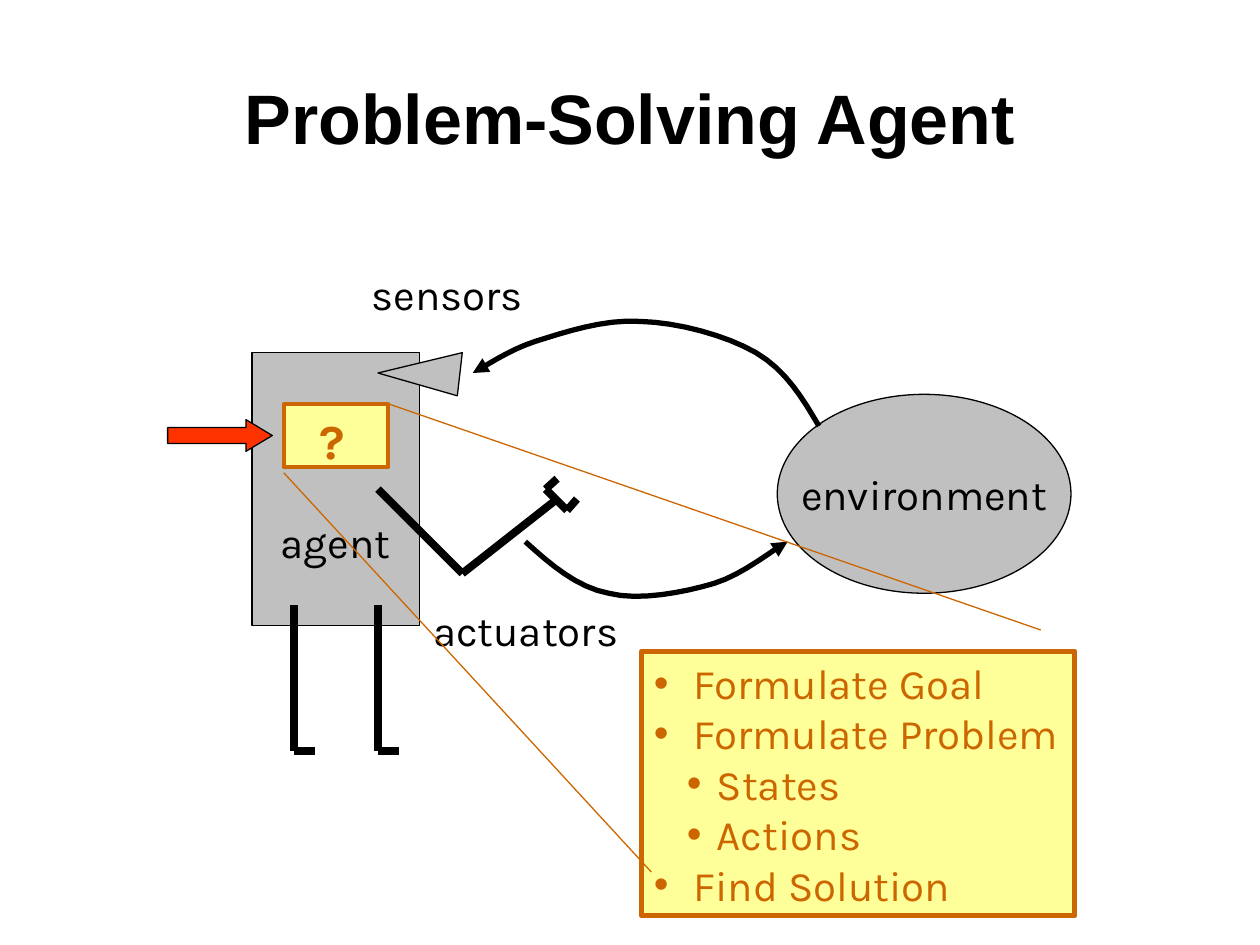
import pptx
import pptx.dml.color
import pptx.enum.shapes
import pptx.enum.text
import pptx.oxml.ns
import pptx.util
from lxml import etree

Cm, Pt = pptx.util.Cm, pptx.util.Pt
qn = pptx.oxml.ns.qn
MSO = pptx.enum.shapes.MSO_SHAPE
ALIGN = pptx.enum.text.PP_ALIGN
ANCHOR = pptx.enum.text.MSO_ANCHOR
BLACK, GREY, ORANGE, YELLOW, RED = "000000", "C0C0C0", "CC6600", "FFFF99", "FF3300"


def rgb(value):
    return pptx.dml.color.RGBColor.from_string(value)


def curve(start, *segments, steps=8):
    """Return points along a chain of cubic Bézier segments."""
    points = [start]
    for c1, c2, end in segments:
        p0 = points[-1]
        for i in range(1, steps + 1):
            t = i / steps
            u = 1 - t
            points.append(tuple(
                u**3 * a + 3 * u * u * t * b + 3 * u * t * t * c + t**3 * d
                for a, b, c, d in zip(p0, c1, c2, end)))
    return points


class Sketch:
    def __init__(self, slide, font="Karla", size=24):
        self.slide, self.font, self.size = slide, font, size

    def style(self, sp, fill, line, width):
        sp.shadow.inherit = False
        if fill:
            sp.fill.solid()
            sp.fill.fore_color.rgb = rgb(fill)
        else:
            sp.fill.background()
        sp.line.color.rgb = rgb(line)
        sp.line.width = Pt(width)

    def set_text(self, sp, text, color=BLACK, align=ALIGN.LEFT, size=None, bold=False,
                 font=None, wrap=False, anchor=ANCHOR.TOP):
        tf = sp.text_frame
        tf.text = text
        tf.word_wrap = wrap
        tf.vertical_anchor = anchor
        for p in tf.paragraphs:
            p.alignment = align
            for r in p.runs:
                r.font.name = font or self.font
                r.font.size = Pt(size or self.size)
                r.font.bold = bold
                r.font.color.rgb = rgb(color)

    def shape(self, kind, box, fill, line=BLACK, width=0.75):
        sp = self.slide.shapes.add_shape(kind, *map(Cm, box))
        self.style(sp, fill, line, width)
        return sp

    def label(self, text, box, **look):
        sp = self.slide.shapes.add_textbox(*map(Cm, box))
        self.set_text(sp, text, **look)

    def line(self, start, end, color=BLACK, width=4.5):
        cx = self.slide.shapes.add_connector(
            pptx.enum.shapes.MSO_CONNECTOR.STRAIGHT, *map(Cm, start + end))
        cx.line.color.rgb = rgb(color)
        cx.line.width = Pt(width)
        etree.SubElement(cx.element.spPr, qn("a:effectLst"))

    def outline(self, points, fill=None, width=0.75, closed=False):
        start, *rest = [tuple(map(Cm, pt)) for pt in points]
        fb = self.slide.shapes.build_freeform(*start)
        fb.add_line_segments(rest, close=closed)
        sp = fb.convert_to_shape()
        self.style(sp, fill, BLACK, width)
        return sp

    def curved_arrow(self, start, *segments):
        sp = self.outline(curve(start, *segments), width=3)
        ln = sp.element.spPr.find(qn("a:ln"))
        etree.SubElement(ln, qn("a:tailEnd"), type="triangle")

    def bullets(self, sp, items, color):
        """Fill a shape with (level, text) items."""
        margins = [(0.8, 0.8), (1.27, 0.6)]
        self.set_text(sp, "\n".join(text for _, text in items), color=color, wrap=True)
        for p, (level, _) in zip(sp.text_frame.paragraphs, items):
            p.level = level
            margin, hang = margins[level]
            pPr = p._p.get_or_add_pPr()
            pPr.set("marL", str(Cm(margin)))
            pPr.set("indent", str(-Cm(hang)))
            etree.SubElement(etree.SubElement(pPr, qn("a:buClr")), qn("a:srgbClr"), val=color)
            etree.SubElement(pPr, qn("a:buFont"), typeface="Arial")
            etree.SubElement(pPr, qn("a:buChar"), char="•")


def main():
    prs = pptx.Presentation()
    prs.slide_width, prs.slide_height = Cm(25.4), Cm(19.05)
    s = Sketch(prs.slides.add_slide(prs.slide_layouts[6]))

    s.label("Problem-Solving Agent", (1.27, 0.76, 22.86, 3.18), size=40, bold=True,
            font="Arial", align=ALIGN.CENTER, wrap=True, anchor=ANCHOR.MIDDLE)

    environment = s.shape(MSO.OVAL, (15.67, 7.95, 5.92, 4.01), GREY)
    s.set_text(environment, "environment", align=ALIGN.CENTER, anchor=ANCHOR.MIDDLE)
    s.curved_arrow((16.51, 8.59),
                   ((16.18, 8.03), (15.85, 7.47), (15.24, 7.11)),
                   ((14.63, 6.76), (13.67, 6.5), (12.9, 6.48)),
                   ((12.17, 6.43), (11.35, 6.71), (10.8, 6.88)),
                   ((10.24, 7.06), (9.73, 7.42), (9.53, 7.52)))
    s.curved_arrow((10.59, 10.92),
                   ((11.1, 11.38), (11.63, 11.84), (12.27, 11.96)),
                   ((12.9, 12.12), (13.79, 11.94), (14.4, 11.76)),
                   ((14.99, 11.58), (15.62, 11.05), (15.88, 10.92)))

    s.shape(MSO.RECTANGLE, (5.08, 7.11, 3.38, 5.5), GREY)
    s.label("agent", (5.41, 10.29, 2.79, 1.27))
    s.shape(MSO.RECTANGLE, (5.72, 8.15, 2.11, 1.27), YELLOW, ORANGE, 2.25)
    s.label("?", (6.2, 8.15, 0.97, 1.45), color=ORANGE, size=28, bold=True)

    elbow, wrist = (9.32, 11.56), (11.23, 10.06)
    upper_palm, lower_palm = (11, 9.86), (11.43, 10.29)
    for start, end in [((7.62, 9.86), elbow), (elbow, wrist), (upper_palm, lower_palm),
                       (upper_palm, (11.23, 9.65)), (lower_palm, (11.63, 10.06))]:
        s.line(start, end)
    for leg_x in (5.92, 7.62):
        heel = (leg_x, 15.14)
        s.line(heel, (leg_x, 12.19))
        s.line(heel, (leg_x + 0.43, 15.14))

    s.outline([(7.62, 7.52), (9.32, 7.11), (9.22, 7.98)], fill=GREY, closed=True)
    s.label("sensors", (7.24, 5.28, 3.58, 1.27))
    s.label("actuators", (8.48, 12.07, 4.27, 1.27))

    steps = s.shape(MSO.RECTANGLE, (12.93, 13.13, 8.74, 5.33), YELLOW, ORANGE, 3)
    s.bullets(steps, [(0, "Formulate Goal"), (0, "Formulate Problem"), (1, "States"),
                      (1, "Actions"), (0, "Find Solution")], ORANGE)
    s.line((5.72, 9.53), (13.13, 17.58), ORANGE, 0.75)
    s.line((7.8, 8.13), (20.98, 12.7), ORANGE, 0.75)

    pointer = s.shape(MSO.RIGHT_ARROW, (3.38, 8.46, 2.11, 0.64), RED)
    pointer.adjustments[1] = 0.83
    prs.save("out.pptx")


if __name__ == "__main__":
    main()
